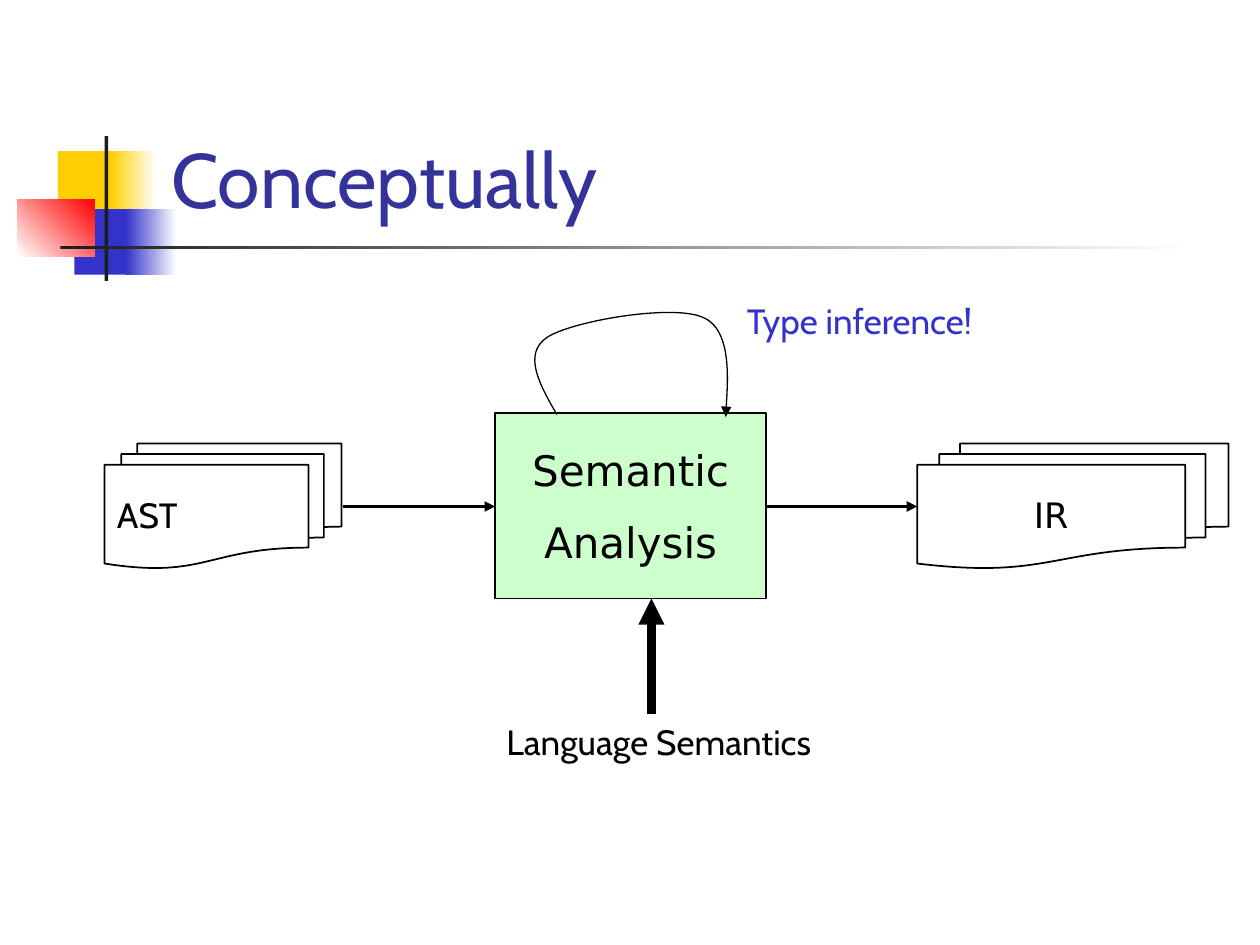
"""Build the slide on the concept of semantic analysis."""
from lxml.etree import SubElement
from pptx import Presentation
from pptx.dml.color import RGBColor as RGB
from pptx.enum.shapes import MSO_CONNECTOR as Link, MSO_SHAPE as Kind
from pptx.enum.text import MSO_ANCHOR as Anchor, MSO_AUTO_SIZE as Auto, PP_ALIGN as Align
from pptx.oxml.ns import qn
from pptx.util import Inches, Pt

HUES = {
    "black": "000000", "white": "FFFFFF", "ink": "1C1C1C", "gold": "FFCF01",
    "blue": "3333CC", "red": "FF0000", "navy": "333399", "mint": "CCFFCC",
}
SANS, PLAIN = "Cabin", "DejaVu Sans"


def hue(name):
    return RGB.from_string(HUES[name])


def write(frame, lines, size, font=SANS, color="black", align=Align.LEFT,
          anchor=Anchor.MIDDLE):
    frame.word_wrap = True
    frame.vertical_anchor = anchor
    for i, line in enumerate(lines):
        para = frame.paragraphs[0] if i == 0 else frame.add_paragraph()
        para.alignment = align
        para.space_before = Pt(size / 2 if i else 0)
        run = para.add_run()
        run.text = line
        run.font.size = Pt(size)
        run.font.name = font
        run.font.color.rgb = hue(color)


def stroke(item, width, head=False):
    item.line.color.rgb = hue("black")
    item.line.width = Pt(width)
    if head:
        line = item._element.xpath(".//a:ln")[0]
        SubElement(line, qn("a:tailEnd"), type="triangle")


def add_bar(slide, box, start, end=None, angle=0):
    bar = slide.shapes.add_shape(Kind.RECTANGLE, *map(Inches, box))
    bar.shadow.inherit = False
    bar.line.fill.background()
    if end is None:
        bar.fill.solid()
        bar.fill.fore_color.rgb = hue(start)
        return
    bar.fill.gradient()
    bar.fill.gradient_angle = angle
    for stop, name in zip(bar.fill.gradient_stops, (start, end)):
        stop.color.rgb = hue(name)


def add_node(slide, kind, box, lines, size, font, align, fill=None):
    node = slide.shapes.add_shape(kind, *map(Inches, box))
    node.shadow.inherit = False
    if fill:
        node.fill.solid()
        node.fill.fore_color.rgb = hue(fill)
    else:
        node.fill.background()
    stroke(node, 1)
    write(node.text_frame, lines, size, font, align=align)


def add_label(slide, left, top, text, color):
    box = slide.shapes.add_textbox(*map(Inches, (left, top, 3.08, 0.43)))
    write(box.text_frame, [text], 20, color=color, anchor=Anchor.TOP)
    box.text_frame.auto_size = Auto.SHAPE_TO_FIT_TEXT


def add_arrow(slide, start, end, width):
    arrow = slide.shapes.add_connector(Link.STRAIGHT, *map(Inches, start + end))
    stroke(arrow, width, head=True)
    SubElement(arrow._element.spPr, qn("a:effectLst"))


def add_curve(slide, start, points):
    pen = slide.shapes.build_freeform(*map(Inches, start))
    pen.add_line_segments([tuple(map(Inches, p)) for p in points], close=False)
    curve = pen.convert_to_shape()
    curve.shadow.inherit = False
    curve.fill.background()
    stroke(curve, 0.75, head=True)
    track = curve._element.xpath(".//a:path")[0]
    steps = track.findall(qn("a:lnTo"))
    for i in range(0, len(steps), 3):
        bend = SubElement(track, qn("a:cubicBezTo"))
        for step in steps[i:i + 3]:
            bend.append(step[0])
            track.remove(step)


def add_decor(slide):
    add_bar(slide, (0.46, 1.2, 0.48, 0.52), "gold")
    add_bar(slide, (0.88, 1.2, 0.36, 0.52), "gold", "white")
    add_bar(slide, (0.59, 1.66, 0.46, 0.52), "blue")
    add_bar(slide, (1, 1.66, 0.4, 0.52), "blue", "white")
    add_bar(slide, (0.14, 1.58, 0.61, 0.46), "white", "red", 45)
    add_bar(slide, (0.83, 1.08, 0.03, 1.15), "ink")
    add_bar(slide, (0.48, 1.95, 9, 0.03), "ink", "white")


def add_title(slide, text):
    title = slide.shapes.title
    title.left, title.top, title.width, title.height = map(
        Inches, (1.26, 0.23, 8.52, 1.6))
    write(title.text_frame, [text], 44, color="navy", anchor=Anchor.BOTTOM)


def main():
    deck = Presentation()
    deck.slide_width, deck.slide_height = Inches(10), Inches(7.5)
    slide = deck.slides.add_slide(deck.slide_layouts[5])
    add_decor(slide)
    add_title(slide, "Conceptually")
    docs = Kind.FLOWCHART_MULTIDOCUMENT
    add_node(slide, docs, (0.83, 3.52, 1.88, 0.99), ["AST"], 20, SANS, Align.LEFT)
    add_node(slide, docs, (7.28, 3.52, 2.47, 0.99), ["IR"], 20, PLAIN, Align.CENTER)
    add_node(slide, Kind.FLOWCHART_PROCESS, (3.93, 3.28, 2.15, 1.47),
             ["Semantic", "Analysis"], 24, PLAIN, Align.CENTER, "mint")
    add_arrow(slide, (2.72, 4.02), (3.93, 4.02), 2)
    add_arrow(slide, (6.07, 4.02), (7.28, 4.02), 2)
    add_label(slide, 3.92, 5.67, "Language Semantics", "black")
    add_arrow(slide, (5.17, 5.67), (5.17, 4.75), 5)
    add_label(slide, 5.83, 2.33, "Type inference!", "blue")
    add_curve(slide, (4.42, 3.29), [
        (4.28, 3.05), (4.15, 2.81), (4.34, 2.68),
        (4.53, 2.55), (5.34, 2.41), (5.58, 2.52),
        (5.82, 2.62), (5.76, 3.31), (5.76, 3.31)])
    deck.save("out.pptx")


if __name__ == "__main__":
    main()
